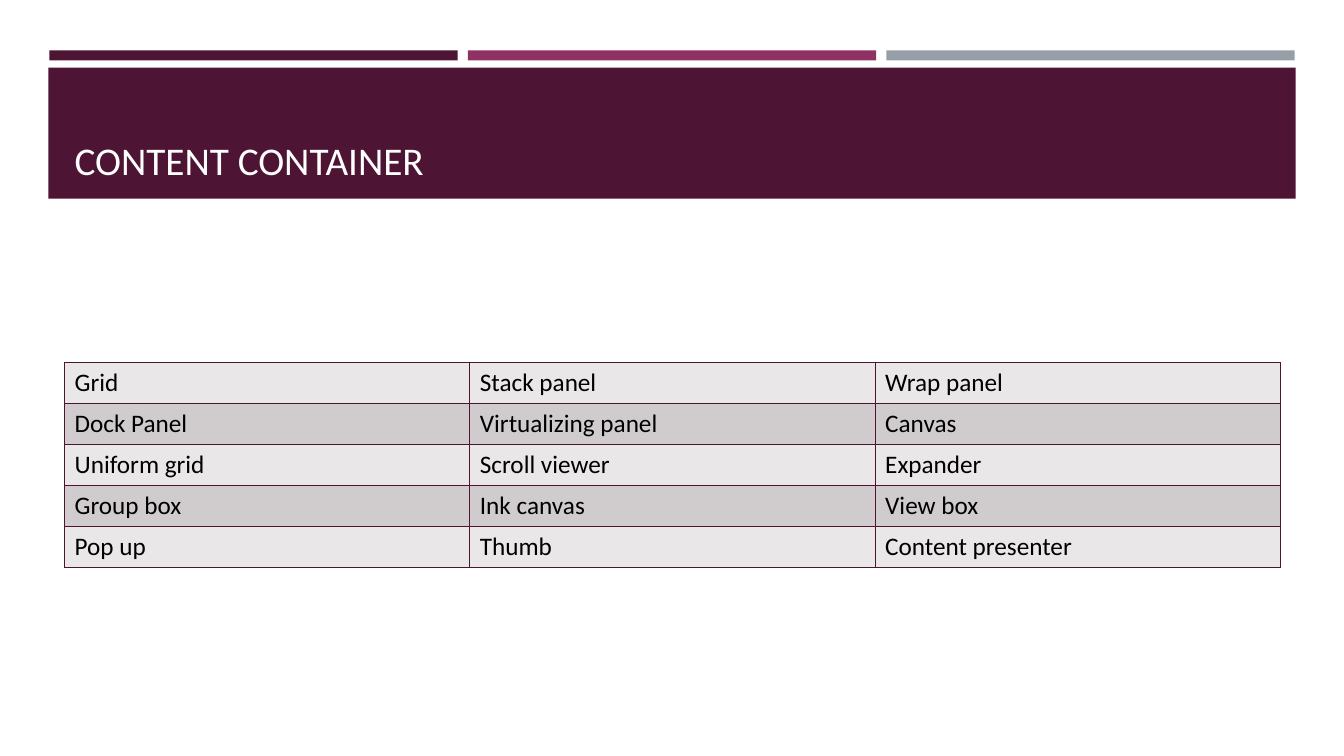
from collections import namedtuple
from dataclasses import dataclass

from lxml.etree import SubElement
from pptx import Presentation
from pptx.dml.color import RGBColor as Rgb
from pptx.enum.shapes import MSO_SHAPE as Shape
from pptx.enum.text import MSO_ANCHOR as Anchor, PP_ALIGN as Align
from pptx.oxml.ns import qn
from pptx.util import Inches, Pt

Box = namedtuple("Box", "left top width height")


@dataclass(frozen=True)
class Theme:
    font: str = "Calibri"
    plum: str = "4D1434"
    stripes: tuple = ("4D1434", "903163", "969FA7")
    rows: tuple = ("E9E7E8", "D0CCCE")
    white: str = "FFFFFF"
    black: str = "000000"
    title_size: int = 28
    cell_size: int = 18
    border: int = 1


THEME = Theme()
SLIDE = Box(0, 0, 13.33, 7.5)
STRIPES = Box(0.49, 0.5, 12.35, 0.1)
BANNER = Box(0.48, 0.67, 12.37, 1.3)
TABLE = Box(0.64, 3.6, 12.06, 2.03)
STRIPE_GAP = 0.1
TITLE_INSET = (0.16, 0.1)

CONTAINERS = (
    ("Grid", "Stack panel", "Wrap panel"),
    ("Dock Panel", "Virtualizing panel", "Canvas"),
    ("Uniform grid", "Scroll viewer", "Expander"),
    ("Group box", "Ink canvas", "View box"),
    ("Pop up", "Thumb", "Content presenter"),
)


def inches(box):
    return [Inches(length) for length in box]


def set_all(target, values):
    for name, value in values.items():
        setattr(target, name, value)


def write(text_frame, text, size, color, anchor):
    text_frame.text = text
    set_all(text_frame, {"vertical_anchor": anchor, "word_wrap": True})
    paragraph = text_frame.paragraphs[0]
    paragraph.alignment = Align.LEFT
    font = paragraph.runs[0].font
    set_all(font, {"name": THEME.font, "size": Pt(size), "bold": False})
    font.color.rgb = Rgb.from_string(color)


def add_bar(slide, box, color):
    shape = slide.shapes.add_shape(Shape.RECTANGLE, *inches(box))
    shape.shadow.inherit = False
    shape.fill.solid()
    shape.fill.fore_color.rgb = Rgb.from_string(color)
    shape.line.fill.background()
    return shape


def add_stripes(slide, box):
    count = len(THEME.stripes)
    width = (box.width - STRIPE_GAP * (count - 1)) / count
    for index, color in enumerate(THEME.stripes):
        left = box.left + index * (width + STRIPE_GAP)
        add_bar(slide, box._replace(left=left, width=width), color)


def add_banner(slide, box, text):
    banner = add_bar(slide, box, THEME.plum)
    title = slide.shapes.title
    # Bring the title in front of its band
    banner._element.addnext(title._element)
    across, down = TITLE_INSET
    area = Box(box.left + across, box.top + down,
               box.width - 2 * across, box.height - 2 * down)
    set_all(title, dict(zip(Box._fields, inches(area))))
    write(title.text_frame, text, THEME.title_size, THEME.white, Anchor.BOTTOM)


def add_borders(cell):
    properties = cell._tc.get_or_add_tcPr()
    for position, side in enumerate(("a:lnL", "a:lnR", "a:lnT", "a:lnB")):
        line = SubElement(properties, qn(side), w=str(Pt(THEME.border)))
        fill = SubElement(line, qn("a:solidFill"))
        SubElement(fill, qn("a:srgbClr"), val=THEME.plum)
        # Borders come before the cell fill
        properties.insert(position, line)


def add_container_table(slide, box, rows):
    frame = slide.shapes.add_table(len(rows), len(rows[0]), *inches(box))
    table = frame.table
    set_all(table, {"first_row": False, "horz_banding": False})
    for row_index, row in enumerate(rows):
        color = THEME.rows[row_index % len(THEME.rows)]
        for column_index, text in enumerate(row):
            cell = table.cell(row_index, column_index)
            cell.fill.solid()
            cell.fill.fore_color.rgb = Rgb.from_string(color)
            write(cell.text_frame, text, THEME.cell_size, THEME.black, Anchor.TOP)
            add_borders(cell)


def main():
    presentation = Presentation()
    set_all(presentation, {"slide_width": Inches(SLIDE.width),
                           "slide_height": Inches(SLIDE.height)})
    title_only = presentation.slide_layouts.get_by_name("Title Only")
    slide = presentation.slides.add_slide(title_only)
    # Header
    add_stripes(slide, STRIPES)
    add_banner(slide, BANNER, "CONTENT CONTAINER")
    # Body
    add_container_table(slide, TABLE, CONTAINERS)
    presentation.save("out.pptx")


if __name__ == "__main__":
    main()
